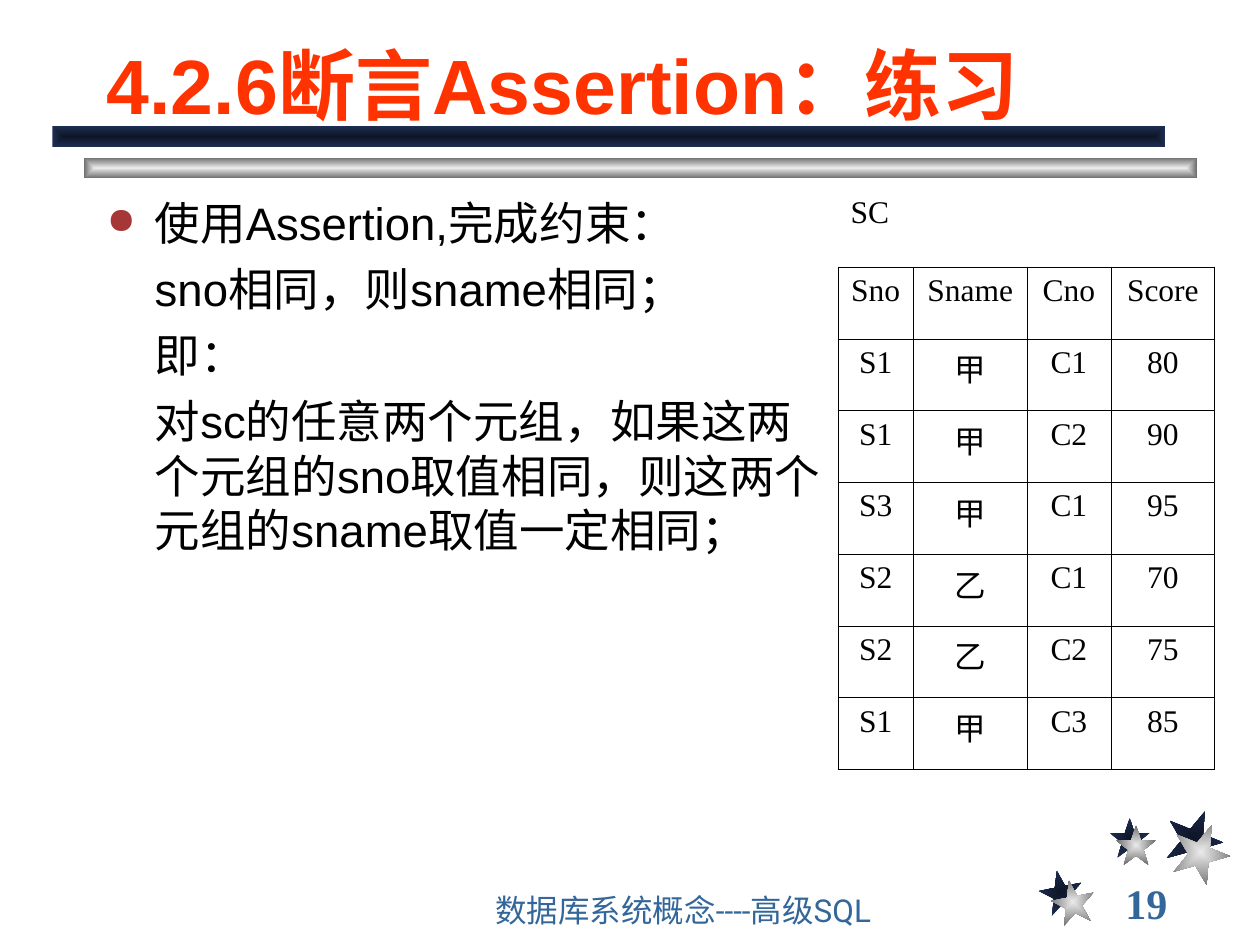
"""Build the slide on the assertion exercise."""
from dataclasses import dataclass

from lxml import etree
from pptx import Presentation
from pptx.dml.color import RGBColor
from pptx.enum.shapes import MSO_SHAPE
from pptx.enum.text import MSO_ANCHOR, PP_ALIGN
from pptx.oxml import parse_xml
from pptx.oxml.ns import nsdecls, qn
from pptx.util import Inches, Pt

RECTANGLE = MSO_SHAPE.RECTANGLE
TOP, MIDDLE, BOTTOM = MSO_ANCHOR.TOP, MSO_ANCHOR.MIDDLE, MSO_ANCHOR.BOTTOM
LEFT, CENTER = PP_ALIGN.LEFT, PP_ALIGN.CENTER
UNITS_PER_INCH = 12
STAR = ((0, .38), (.38, .38), (.5, 0), (.62, .38), (1, .38),
        (.69, .62), (.81, 1), (.5, .76), (.19, 1), (.31, .62))


@dataclass(frozen=True)
class Theme:
    """Colours, fonts and type sizes of the slide."""
    title: str = "FF3300"
    ink: str = "000000"
    footer: str = "336699"
    bullet: str = "A73737"
    navy: tuple = ("0E1526", "1E2E53")
    silver: tuple = ("EAEAEA", "6C6C6C")
    sans: str = "Arial"
    serif: str = "Times New Roman"
    footer_font: str = "Roboto"
    title_size: float = 44
    body_size: float = 26
    number_size: float = 24
    small_size: float = 18
    body_gap: float = 6.5
    border_width: float = 0.45


def grid(units):
    """Turn grid units into a length."""
    return Inches(units / UNITS_PER_INCH)


def write(para, text, *, size, font, color, bold=False, align=LEFT):
    """Put formatted text into a paragraph."""
    para.alignment = align
    span = para.add_run()
    span.text = text
    span.font.size = Pt(size)
    span.font.name = font
    span.font.bold = bold
    span.font.color.rgb = RGBColor.from_string(color)


class SlidePainter:
    """Draws styled elements on the current slide."""

    def __init__(self, page, theme):
        """Keep the slide and its style."""
        self.page = page
        self.theme = theme

    def paint(self, shape, colors):
        """Fill a shape with a gradient running out from its centre."""
        shape.shadow.inherit = False
        shape.line.fill.background()
        shape.fill.gradient()
        for stop, color in zip(shape.fill.gradient_stops, colors):
            stop.color.rgb = RGBColor.from_string(color)
        gradient = shape._element.spPr.find(qn("a:gradFill"))
        gradient.replace(gradient.find(qn("a:lin")), parse_xml(
            f'<a:path {nsdecls("a")} path="rect">'
            '<a:fillToRect l="50000" t="50000" r="50000" b="50000"/></a:path>'))

    def bar(self, left, top, width, height, colors):
        """Draw a bevelled bar."""
        place = map(grid, (left, top, width, height))
        self.paint(self.page.shapes.add_shape(RECTANGLE, *place), colors)

    def star(self, left, top, size, rotation, colors):
        """Draw a five-pointed star."""
        points = [(grid(left + x * size), grid(top + y * size)) for x, y in STAR]
        builder = self.page.shapes.build_freeform(*points[0])
        builder.add_line_segments(points[1:], close=True)
        shape = builder.convert_to_shape()
        shape.rotation = rotation
        self.paint(shape, colors)

    def text(self, left, top, width, height, lines, *, anchor=TOP, wrap=True, **style):
        """Add a text box and return its paragraphs."""
        box = self.page.shapes.add_textbox(*map(grid, (left, top, width, height)))
        frame = box.text_frame
        frame.word_wrap = wrap
        frame.vertical_anchor = anchor
        for index, line in enumerate(lines):
            para = frame.add_paragraph() if index else frame.paragraphs[0]
            write(para, line, **style)
        return frame.paragraphs

    def body(self, left, top, width, height, lines):
        """Add the indented body, its first line bulleted."""
        theme = self.theme
        paras = self.text(left, top, width, height, lines, size=theme.body_size,
                          font=theme.sans, color=theme.ink)
        for para in paras:
            para._p.get_or_add_pPr().set("marL", str(Inches(0.38)))
        for para in paras[1:]:
            para.space_before = Pt(theme.body_gap)
        properties = paras[0]._p.get_or_add_pPr()
        properties.set("indent", str(-Inches(0.38)))
        color = etree.SubElement(properties, qn("a:buClr"))
        etree.SubElement(color, qn("a:srgbClr"), val=theme.bullet)
        etree.SubElement(properties, qn("a:buSzPct"), val="80000")
        etree.SubElement(properties, qn("a:buChar"), char="●")

    def border(self, cell, visible):
        """Set the four edges of a cell, drawing only the visible ones."""
        properties = cell._tc.get_or_add_tcPr()
        for index, edge in enumerate("LRTB"):
            line = etree.Element(qn(f"a:ln{edge}"), w=str(Pt(self.theme.border_width)))
            if edge in visible:
                fill = etree.SubElement(line, qn("a:solidFill"))
                etree.SubElement(fill, qn("a:srgbClr"), val=self.theme.ink)
            else:
                etree.SubElement(line, qn("a:noFill"))
            properties.insert(index, line)

    def table(self, left, top, columns, heights, rows):
        """Add a ruled table whose first row is an open caption."""
        theme = self.theme
        place = map(grid, (left, top, sum(columns), sum(heights)))
        table = self.page.shapes.add_table(len(rows), len(columns), *place).table
        table.first_row = table.horz_banding = False
        for column, width in zip(table.columns, columns):
            column.width = grid(width)
        for row, height, values in zip(table.rows, heights, rows):
            row.height = grid(height)
            caption = values is rows[0]
            for cell, value in zip(row.cells, values):
                cell.fill.background()
                self.border(cell, "B" if caption else "LRTB")
                if value:
                    write(cell.text_frame.paragraphs[0], value, size=theme.small_size,
                          font=theme.serif, color=theme.ink,
                          align=LEFT if caption else CENTER)


def main():
    """Build and save the deck."""
    theme = Theme()
    deck = Presentation()
    deck.slide_width, deck.slide_height = grid(120), grid(90)
    painter = SlidePainter(deck.slides.add_slide(deck.slide_layouts[6]), theme)

    stars = ((99, 82.9, 4.1, 349, 1.15, 0.95),
             (105.7, 77.9, 3.8, 0, 0.6, 0.7),
             (111, 77.1, 5.45, 22, 0.65, 1.3))
    for left, top, size, rotation, _, _ in stars:
        painter.star(left, top, size, rotation, theme.navy)
    for left, top, size, rotation, across, down in stars:
        painter.star(left + across, top + down, size, rotation, theme.silver)
    painter.bar(8, 15, 106, 2, theme.silver)
    painter.bar(5, 12, 106, 2, theme.navy)

    painter.text(106, 84, 13, 4, ["19"], anchor=MIDDLE, wrap=False, bold=True,
                 size=theme.number_size, font=theme.serif, color=theme.footer)
    painter.text(46, 85, 49, 4, ["数据库系统概念----高级SQL"], anchor=BOTTOM,
                 size=theme.small_size, font=theme.footer_font, color=theme.footer)
    painter.text(9, 2, 102, 11, ["4.2.6断言Assertion：练习"], anchor=BOTTOM, bold=True,
                 size=theme.title_size, font=theme.sans, color=theme.title)
    painter.body(9, 18, 70.8, 64, [
        "使用Assertion,完成约束：",
        "sno相同，则sname相同；",
        "即：",
        "对sc的任意两个元组，如果这两个元组的sno取值相同，则这两个元组的sname取值一定相同；",
    ])
    rows = (
        ("SC", "", "", ""),
        ("Sno", "Sname", "Cno", "Score"),
        ("S1", "甲", "C1", "80"),
        ("S1", "甲", "C2", "90"),
        ("S3", "甲", "C1", "95"),
        ("S2", "乙", "C1", "70"),
        ("S2", "乙", "C2", "75"),
        ("S1", "甲", "C3", "85"),
    )
    painter.table(79.8, 18, (7.2, 10.8, 8, 9.9), (7.44,) + (6.84,) * 7, rows)
    deck.save("out.pptx")


if __name__ == "__main__":
    main()
